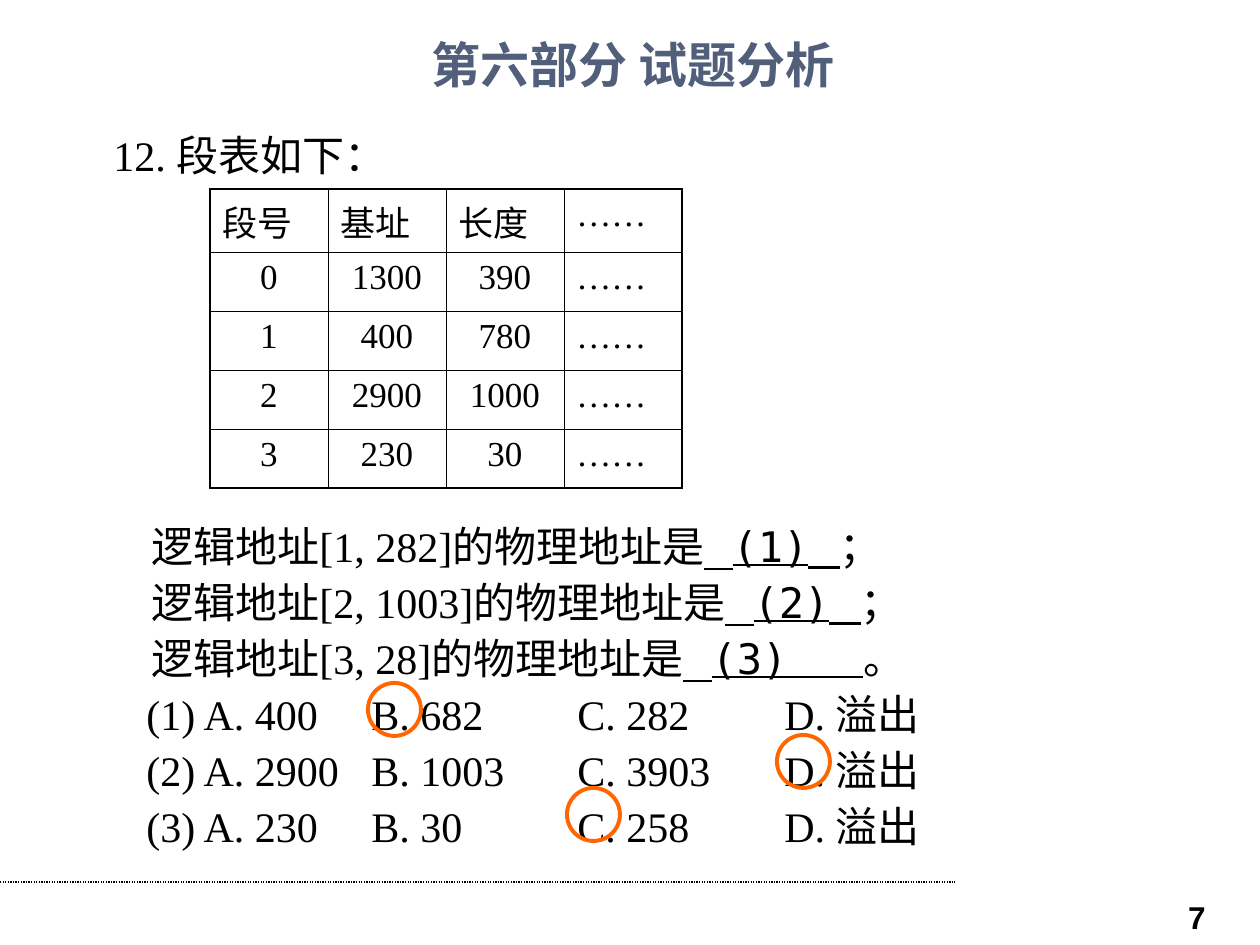
import pptx
import pptx.dml.color
import pptx.enum.dml
import pptx.enum.shapes
import pptx.enum.text
import pptx.oxml.ns
import pptx.util
from lxml import etree

EMU_PER_PX = 914400 / 126
SERIF, MONO, CJK, SANS = "Times New Roman", "DejaVu Sans Mono", "Noto Sans CJK SC", "Arial"
BLACK, SLATE, ORANGE = "000000", "515F7B", "FF6600"
ALIGN = pptx.enum.text.PP_ALIGN
LINE_PITCH = 56
ROWS = [
    ["段号", "基址", "长度", "……"],
    ["0", "1300", "390", "……"],
    ["1", "400", "780", "……"],
    ["2", "2900", "1000", "……"],
    ["3", "230", "30", "……"],
]
QUESTIONS = [
    ("[1, 282]", "(1)", "   ", "；"),
    ("[2, 1003]", "(2)", "   ", "；"),
    ("[3, 28]", "(3)   ", "", "。"),
]
OPTIONS = [
    ["(1) A. 400", "B. 682", "C. 282", "D. 溢出"],
    ["(2) A. 2900", "B. 1003", "C. 3903", "D. 溢出"],
    ["(3) A. 230", "B. 30", "C. 258", "D. 溢出"],
]
OPTION_STOPS = [225, 431, 638]
ANSWERS = [(368, 683), (777, 735), (567, 788)]


def px(length):
    """Turn pixels into EMU."""
    return pptx.util.Emu(round(length * EMU_PER_PX))


def color(code):
    """Turn a hex string into a colour."""
    return pptx.dml.color.RGBColor.from_string(code)


def add_child(parent, tag, **attributes):
    """Append a DrawingML element to a parent."""
    return etree.SubElement(parent, pptx.oxml.ns.qn(tag), attributes)


def set_font(font, name, size, code=BLACK, bold=False):
    """Set the typeface, size, colour and weight."""
    font.name = name
    font.size = pptx.util.Pt(size)
    font.bold = bold
    font.color.rgb = color(code)


def add_box(page, left, top, width, height):
    """Add an empty wrapping text box and return its frame."""
    frame = page.shapes.add_textbox(px(left), px(top), px(width), px(height)).text_frame
    frame.word_wrap = True
    return frame


def add_label(page, bounds, text, align, *font):
    """Add a one-paragraph text box and return its frame."""
    frame = add_box(page, *bounds)
    para = frame.paragraphs[0]
    para.add_run().text = text
    para.alignment = align
    set_font(para.font, *font)
    return frame


def add_lines(page, left, top, lines, stops=()):
    """Add a box of evenly pitched lines made of (text, font, underline) spans."""
    frame = add_box(page, left, top, 1000, LINE_PITCH * len(lines) + 13)
    for index, spans in enumerate(lines):
        para = frame.add_paragraph() if index else frame.paragraphs[0]
        para.line_spacing = pptx.util.Pt(32)
        if stops:
            tabs = add_child(para._p.get_or_add_pPr(), "a:tabLst")
            for stop in stops:
                add_child(tabs, "a:tab", pos=str(int(px(stop))), algn="l")
        set_font(para.font, SERIF, 24)
        for text, name, underline in spans:
            span = para.add_run()
            span.text = text
            if name != SERIF:
                span.font.name = name
            if underline:
                span.font.underline = True


def question_spans(address, blank, tail, mark):
    """Make the spans of one fill-in question."""
    spans = [(f"逻辑地址{address}的物理地址是", SERIF, False), ("   ", SERIF, True),
             (blank, MONO, True), (tail, SERIF, True), (mark, SERIF, False)]
    return [span for span in spans if span[0]]


def set_border(cell, side, points):
    """Draw one black edge of a cell."""
    edge = add_child(cell._tc.get_or_add_tcPr(), f"a:{side}", w=str(int(pptx.util.Pt(points))))
    add_child(add_child(edge, "a:solidFill"), "a:srgbClr", val=BLACK)


def add_segment_table(page):
    """Add the segment table with a heavier outer frame."""
    count, width = len(ROWS[0]), 118
    shape = page.shapes.add_table(len(ROWS), count, px(210), px(189), px(width * count), px(299))
    table = shape.table
    table.first_row = table.horz_banding = False
    for column in table.columns:
        column.width = px(width)
    for r, values in enumerate(ROWS):
        table.rows[r].height = px(59 if r else 63)
        for c, value in enumerate(values):
            cell = table.cell(r, c)
            outer = {"lnL": c == 0, "lnR": c == count - 1,
                     "lnT": r == 0, "lnB": r == len(ROWS) - 1}
            for side, heavy in outer.items():
                set_border(cell, side, 1.08 if heavy else 0.45)
            cell.fill.background()
            para = cell.text_frame.paragraphs[0]
            para.add_run().text = value
            para.alignment = ALIGN.CENTER if r and c < count - 1 else ALIGN.LEFT
            set_font(para.font, SERIF, 20)


def add_answer_ring(page, left, top):
    """Circle a correct answer."""
    ring = page.shapes.add_shape(pptx.enum.shapes.MSO_SHAPE.OVAL, px(left), px(top), px(53), px(53))
    ring.shadow.inherit = False
    ring.fill.background()
    ring.line.color.rgb = color(ORANGE)
    ring.line.width = pptx.util.Pt(2.25)


def add_footer_rule(page):
    """Add the fine dotted line above the page number."""
    rule = page.shapes.add_connector(
        pptx.enum.shapes.MSO_CONNECTOR.STRAIGHT, px(0), px(882), px(955), px(882))
    rule.line.color.rgb = color(BLACK)
    rule.line.width = pptx.util.Pt(0.75)
    rule.line.dash_style = pptx.enum.dml.MSO_LINE.ROUND_DOT
    add_child(rule._element.spPr, "a:effectLst")


def main():
    """Build the slide and save it."""
    deck = pptx.Presentation()
    deck.slide_width, deck.slide_height = px(1260), px(945)
    page = deck.slides.add_slide(deck.slide_layouts[6])
    add_footer_rule(page)
    add_label(page, (924, 892, 294, 34), "7", ALIGN.RIGHT, SANS, 18, BLACK, True)
    title = add_label(page, (63, 32, 1140, 63), "第六部分 试题分析", ALIGN.CENTER, CJK, 28, SLATE, True)
    title.vertical_anchor = pptx.enum.text.MSO_ANCHOR.MIDDLE
    add_lines(page, 101, 118, [[("12. 段表如下：", SERIF, False)]])
    add_segment_table(page)
    add_lines(page, 139, 509, [question_spans(*question) for question in QUESTIONS])
    options = [[("\t".join(choices), SERIF, False)] for choices in OPTIONS]
    add_lines(page, 134, 509 + LINE_PITCH * len(QUESTIONS), options, OPTION_STOPS)
    for left, top in ANSWERS:
        add_answer_ring(page, left, top)
    deck.save("out.pptx")


if __name__ == "__main__":
    main()
